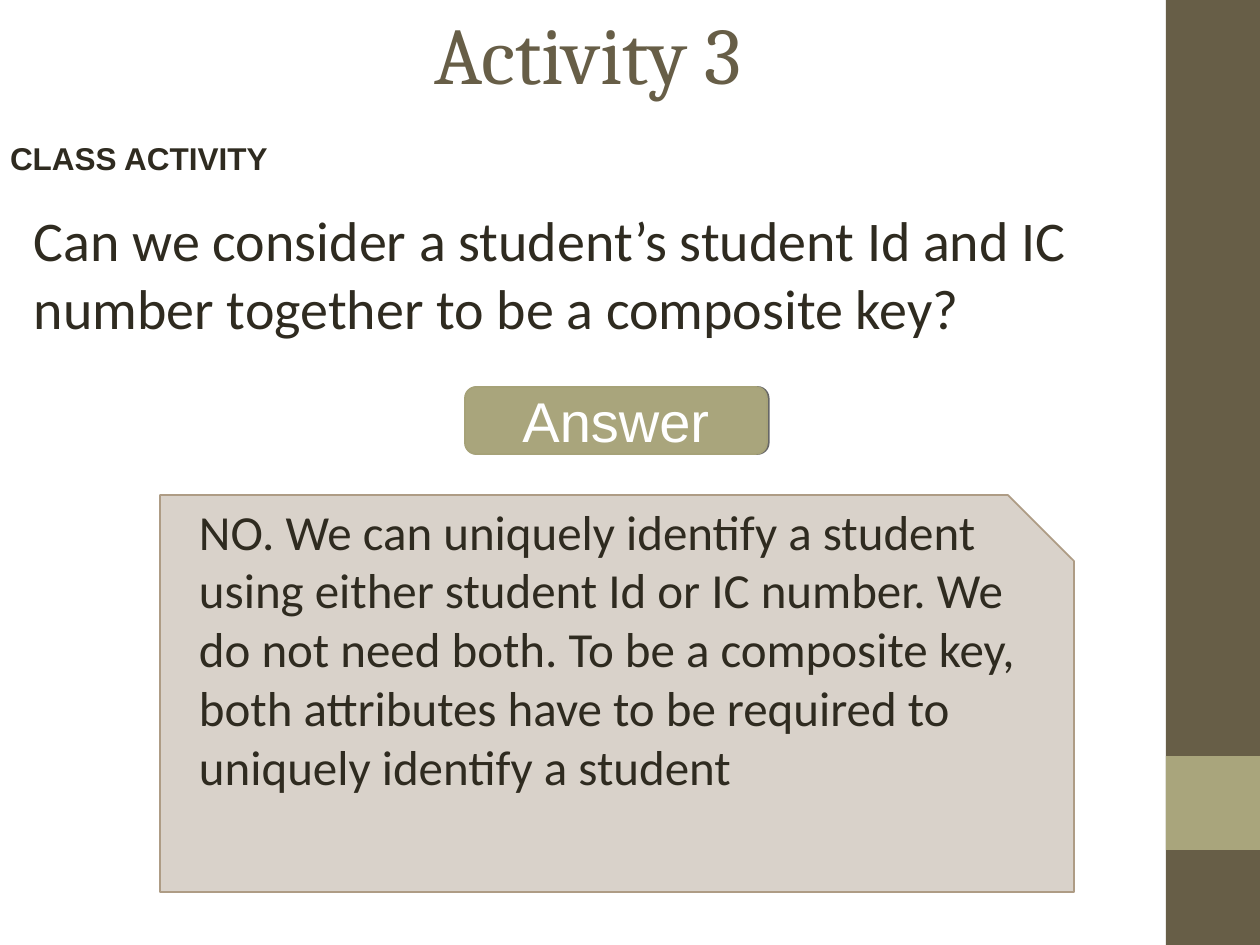
from lxml import etree
from pptx import Presentation
from pptx.dml.color import RGBColor
from pptx.enum.shapes import MSO_SHAPE as Shape
from pptx.enum.text import MSO_ANCHOR as Anchor, MSO_AUTO_SIZE as AutoSize, PP_ALIGN as Align
from pptx.oxml.ns import qn
from pptx.util import Pt

EMU_PER_PX = 914400 / 126
SLIDE_WIDTH, SLIDE_HEIGHT = 1260, 945
BAR_WIDTH = 94

BROWN = RGBColor(0x67, 0x5E, 0x47)
OLIVE = RGBColor(0xA9, 0xA5, 0x7C)
OLIVE_LINE = RGBColor(0xA6, 0xA2, 0x78)
SAND = RGBColor(0xD9, 0xD2, 0xCA)
SAND_LINE = RGBColor(0xAE, 0x9C, 0x85)
DARK = RGBColor(0x2F, 0x2B, 0x20)
WHITE = RGBColor(0xFF, 0xFF, 0xFF)


def px(length):
    return round(length * EMU_PER_PX)


def write(shape, text, font, size, color, align=Align.LEFT, anchor=Anchor.TOP,
          insets=(13, 6, 13, 6), bold=False):
    """Fill a shape with one formatted paragraph and return the paragraph."""
    frame = shape.text_frame
    frame.text = text
    frame.word_wrap = True
    frame.auto_size = AutoSize.NONE
    frame.vertical_anchor = anchor
    (frame.margin_left, frame.margin_top,
     frame.margin_right, frame.margin_bottom) = map(px, insets)
    paragraph = frame.paragraphs[0]
    paragraph.alignment = align
    run_font = paragraph.runs[0].font
    run_font.name, run_font.size, run_font.bold = font, Pt(size), bold
    run_font.color.rgb = color
    return paragraph


def paint(shape, fill, line=None):
    shape.shadow.inherit = False
    shape.fill.solid()
    shape.fill.fore_color.rgb = fill
    if line is None:
        shape.line.fill.background()
    else:
        shape.line.color.rgb = line
        shape.line.width = Pt(1)


def add_box(slide, kind, box, fill, line=None):
    shape = slide.shapes.add_shape(kind, *map(px, box))
    paint(shape, fill, line)
    return shape


def add_text(slide, box, text, font, size, **options):
    text_box = slide.shapes.add_textbox(*map(px, box))
    return write(text_box, text, font, size, DARK, **options)


def set_title(slide, text):
    title = slide.shapes.title
    title.left, title.top, title.width, title.height = map(px, (63, 0, 1050, 105))
    write(title, text, "Cambria", 46, BROWN, Align.CENTER, Anchor.MIDDLE)


def add_side_bar(slide):
    left = SLIDE_WIDTH - BAR_WIDTH
    add_box(slide, Shape.RECTANGLE, (left, 0, BAR_WIDTH, SLIDE_HEIGHT), BROWN)
    add_box(slide, Shape.RECTANGLE, (left, 756, BAR_WIDTH, BAR_WIDTH), OLIVE)


def add_shadow(shape):
    """Cast a hard shadow one point to the right."""
    effects = shape._element.spPr.find(qn("a:effectLst"))
    shadow = etree.SubElement(effects, qn("a:outerShdw"), dist=str(Pt(1)), dir="0")
    color = etree.SubElement(shadow, qn("a:srgbClr"), val="000000")
    etree.SubElement(color, qn("a:alpha"), val="60000")


def add_button(slide, text):
    button = add_box(slide, Shape.ROUNDED_RECTANGLE, (465, 387, 302, 67), OLIVE, OLIVE_LINE)
    add_shadow(button)
    write(button, text, "Arial", 32, WHITE, Align.CENTER, Anchor.MIDDLE)


def add_answer_card(slide, text):
    """Add a card with its top right corner cut off."""
    left, top, right, bottom, cut = 160, 495, 1074, 892, 66
    builder = slide.shapes.build_freeform(left, top, EMU_PER_PX)
    builder.add_line_segments(
        [(right - cut, top), (right, top + cut), (right, bottom), (left, bottom)])
    card = builder.convert_to_shape()
    paint(card, SAND, SAND_LINE)
    write(card, text, "Calibri", 28, DARK, insets=(39, 6, 13, 6))


def main():
    presentation = Presentation()
    presentation.slide_width = px(SLIDE_WIDTH)
    presentation.slide_height = px(SLIDE_HEIGHT)
    slide = presentation.slides.add_slide(presentation.slide_layouts[5])

    add_side_bar(slide)
    set_title(slide, "Activity 3")
    label = add_text(slide, (0, 145, 347, 44), "CLASS ACTIVITY", "Arial", 18,
                     insets=(10, 0, 10, 0), bold=True)
    label.line_spacing = Pt(18)
    add_text(slide, (21, 200, 1131, 136),
             "Can we consider a student’s student Id and IC number together "
             "to be a composite key?", "Calibri", 32)
    add_button(slide, "Answer")
    add_answer_card(
        slide,
        "NO. We can uniquely identify a student using either student Id or IC number. "
        "We do not need both. To be a composite key, both attributes have to be "
        "required to uniquely identify a student")

    presentation.save("out.pptx")


if __name__ == "__main__":
    main()
